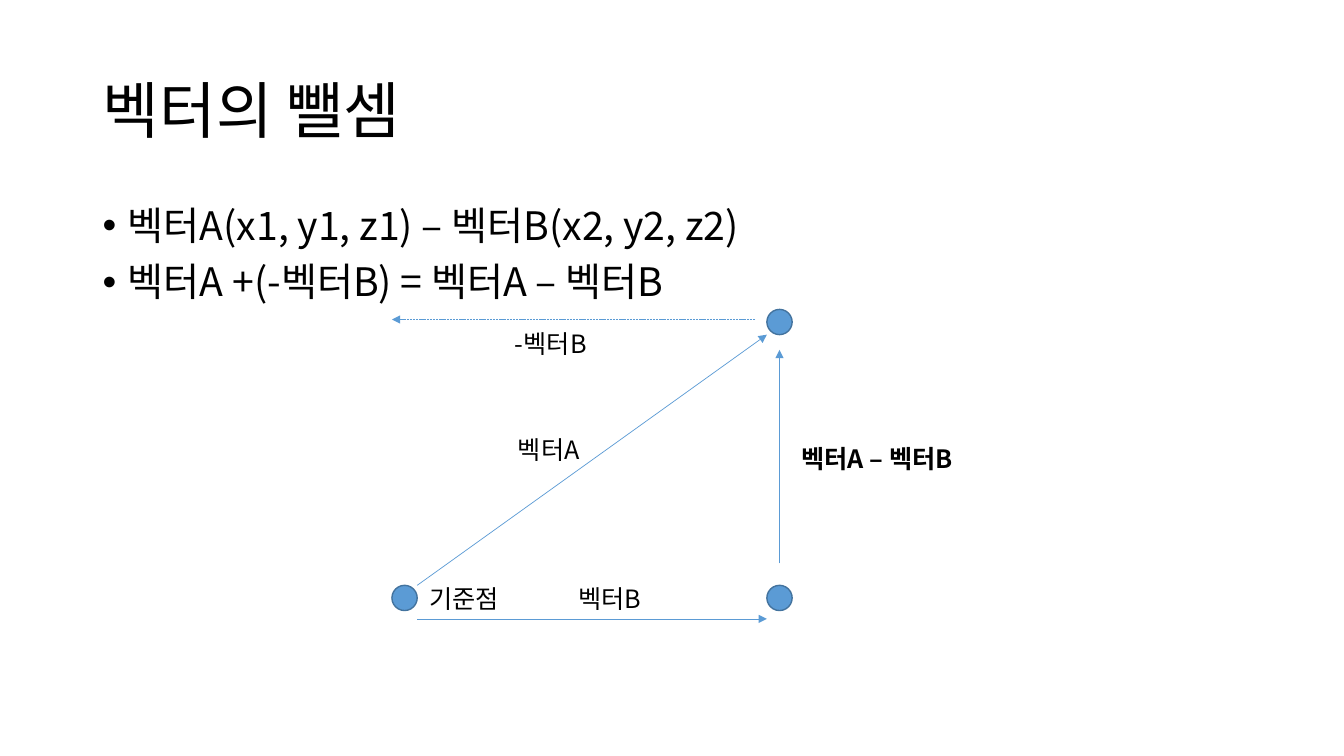
import dataclasses
import pptx
import pptx.util
import pptx.dml.color
import pptx.enum.dml
import pptx.enum.shapes
import pptx.enum.text
import pptx.oxml
import pptx.oxml.ns


@dataclasses.dataclass(frozen=True)
class Theme:
    font: str = "Noto Sans CJK KR"
    ink: str = "000000"
    blue: str = "5B9BD5"
    edge: str = "43739E"
    title: int = 44
    body: int = 28
    label: int = 18


T = Theme()
RGB = pptx.dml.color.RGBColor.from_string
Pt = pptx.util.Pt
qn = pptx.oxml.ns.qn
ANCHOR = pptx.enum.text.MSO_ANCHOR

prs = pptx.Presentation()
prs.slide_width = pptx.util.Inches(13.33)
prs.slide_height = pptx.util.Inches(7.5)
s = prs.slides.add_slide(prs.slide_layouts[5])

# Grid of 100 columns by 100 rows
COL, ROW = prs.slide_width / 100, prs.slide_height / 100


def grid(*cells):
    return [round(c * (ROW if i % 2 else COL)) for i, c in enumerate(cells)]


def write(sp, *lines, size=T.label, bold=False, bullet=False, spacing=None,
          before=0, wrap=True, anchor=ANCHOR.TOP, fit=False):
    tf = sp.text_frame
    tf.word_wrap, tf.vertical_anchor = wrap, anchor
    sizes = pptx.enum.text.MSO_AUTO_SIZE
    tf.auto_size = sizes.SHAPE_TO_FIT_TEXT if fit else sizes.NONE
    for i, line in enumerate(lines):
        p = tf.add_paragraph() if i else tf.paragraphs[0]
        p.alignment = pptx.enum.text.PP_ALIGN.LEFT
        p.line_spacing, p.space_before = spacing, Pt(before)
        if bullet:
            pPr = p._p.get_or_add_pPr()
            pPr.set("marL", str(Pt(18)))
            pPr.set("indent", str(-Pt(18)))
            pPr.append(pptx.oxml.parse_xml(
                f'<a:buFont {pptx.oxml.ns.nsdecls("a")} typeface="Arial"/>'))
            pPr.append(pptx.oxml.parse_xml(
                f'<a:buChar {pptx.oxml.ns.nsdecls("a")} char="•"/>'))
        r = p.add_run()
        r.text = line
        r.font.size, r.font.bold = Pt(size), bold
        r.font.color.rgb = RGB(T.ink)
        r.font.name = T.font
        ea = r.font._element.makeelement(qn("a:ea"), {"typeface": T.font})
        r.font._element.find(qn("a:latin")).addnext(ea)


# Title
title = s.shapes.title
title.left, title.top, title.width, title.height = grid(6.9, 5.33, 86.25, 19.33)
write(title, "벡터의 뺄셈", size=T.title, spacing=0.9, anchor=ANCHOR.MIDDLE)

# Formulas
write(s.shapes.add_textbox(*grid(6.9, 26.67, 86.25, 63.47)),
      "벡터A(x1, y1, z1) – 벡터B(x2, y2, z2)",
      "벡터A +(-벡터B) = 벡터A – 벡터B",
      size=T.body, bullet=True, spacing=0.9, before=10)

# Points of the triangle
LEFT, RIGHT, TOP, BOTTOM = 30.1, 58, 42.6, 79.1
RX, RY = 0.94, 1.67
for x, y in [(RIGHT, TOP), (LEFT, BOTTOM), (RIGHT, BOTTOM)]:
    dot = s.shapes.add_shape(pptx.enum.shapes.MSO_SHAPE.OVAL,
                             *grid(x - RX, y - RY, 2 * RX, 2 * RY))
    dot.shadow.inherit = False
    dot.fill.solid()
    dot.fill.fore_color.rgb = RGB(T.blue)
    dot.line.color.rgb = RGB(T.edge)
    dot.line.width = Pt(1)

# Vectors: A, B, A - B and the dashed -B
vectors = [
    (LEFT + RX, BOTTOM - RY, RIGHT - RX, TOP + RY, False),
    (LEFT + RX, 81.87, RIGHT - RX, 81.87, False),
    (RIGHT, 74.53, RIGHT, 46.27, False),
    (56.18, 42.27, LEFT - RX, 42.27, True),
]
for *ends, dashed in vectors:
    arrow = s.shapes.add_connector(
        pptx.enum.shapes.MSO_CONNECTOR.STRAIGHT, *grid(*ends))
    arrow.line.color.rgb = RGB(T.blue)
    arrow.line.width = Pt(0.5)
    if dashed:
        arrow.line.dash_style = pptx.enum.dml.MSO_LINE.SQUARE_DOT
    ln = arrow.line._get_or_add_ln()
    ln.append(ln.makeelement(qn("a:tailEnd"), {"type": "triangle"}))
    ln.addnext(ln.makeelement(qn("a:effectLst"), {}))

# Labels
labels = [
    ("기준점", 31.2, 76.53, 7.2, dict(wrap=False)),
    ("벡터A", 37.8, 56.8, 7.43, {}),
    ("벡터B", 42.3, 76.53, 7.43, {}),
    ("벡터A – 벡터B", 58.9, 58, 14.4, dict(bold=True)),
    ("-벡터B", 37.58, 42.8, 7.43, {}),
]
for text, x, y, width, style in labels:
    write(s.shapes.add_textbox(*grid(x, y, width, 5.33)), text, fit=True, **style)

prs.save("out.pptx")
